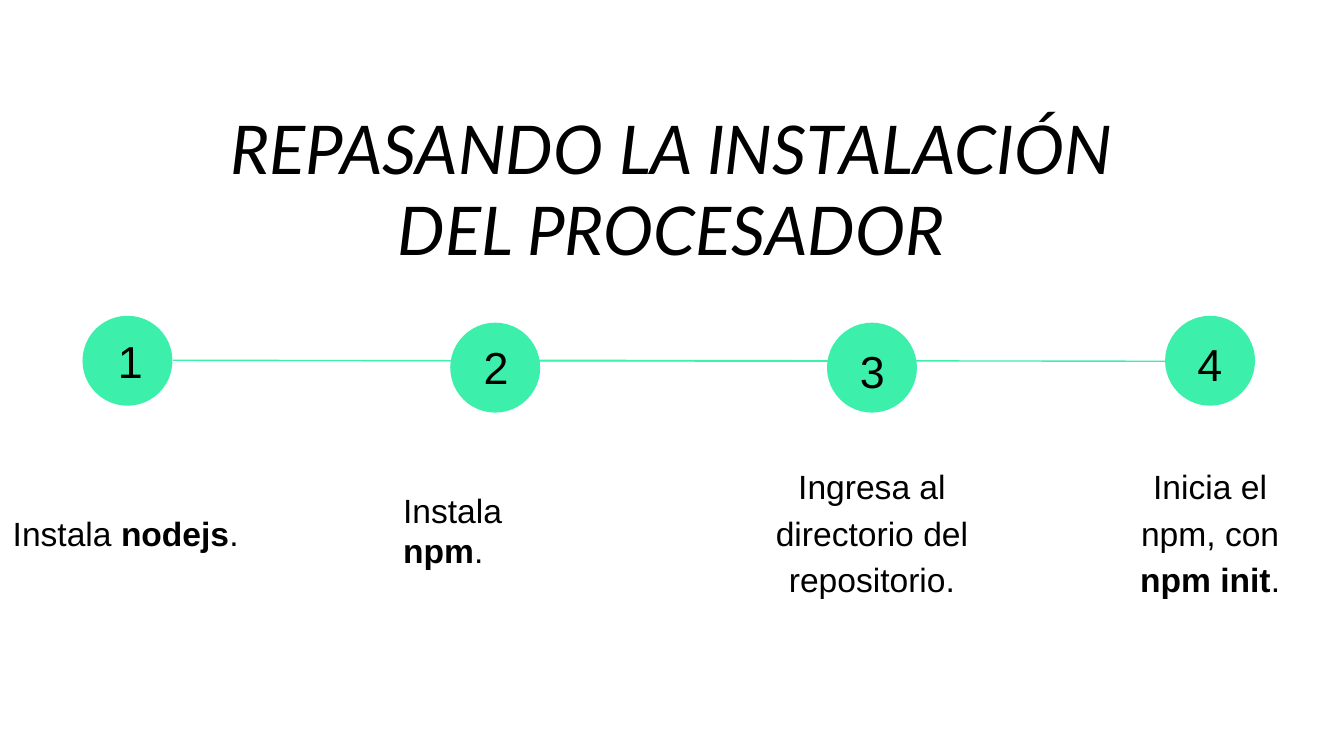
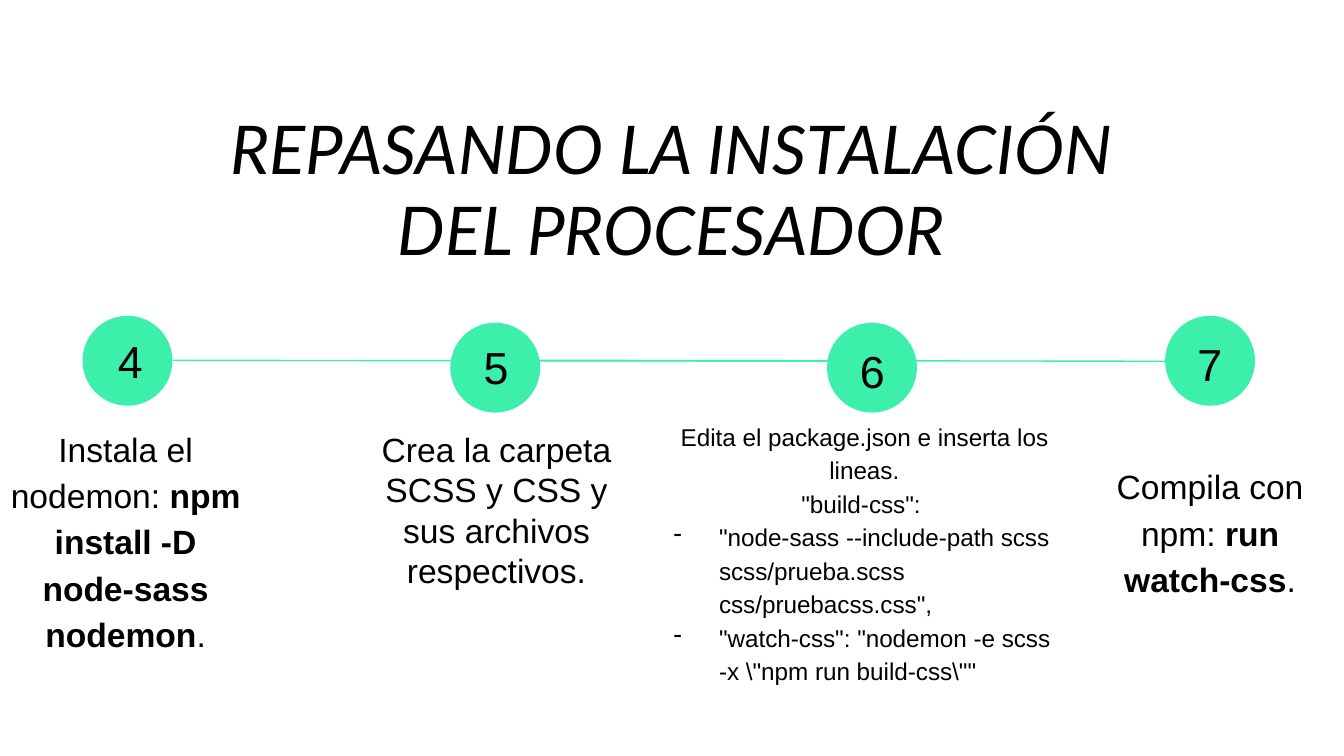
"""Builds the two timeline slides that review the processor installation."""
from lxml import etree
from pptx import Presentation
from pptx import util as u
from pptx.dml.color import RGBColor
from pptx.enum import shapes, text
from pptx.oxml.ns import qn

GREEN = RGBColor(0x3C, 0xEF, 0xAB)
BLACK = RGBColor(0, 0, 0)
LEFT, CENTER = text.PP_ALIGN.LEFT, text.PP_ALIGN.CENTER
TOP, MIDDLE = text.MSO_ANCHOR.TOP, text.MSO_ANCHOR.MIDDLE
TITLE = "REPASANDO LA INSTALACIÓN DEL PROCESADOR"

LINES = [(3.27, 16.57), (9.83, 23.14)]
CIRCLES = [(1.56, 5.97), (8.51, 6.1), (15.63, 6.1), (22.02, 5.97)]
NUMBERS = [(1.98, 6.05, LEFT), (8.89, 6.17, LEFT), (16, 6.25, CENTER), (22.38, 6.12, CENTER)]

SLIDES = [
    [
        ("1", (-0.15, 8.53, 5.05), 18, CENTER, 1.15, ["Instala **nodejs**."]),
        ("2", (7.37, 8.53, 3.99), 18, LEFT, 1, ["Instala **npm**."]),
        ("3", (13.61, 8.53, 5.74), 18, CENTER, 1.15, ["Ingresa al directorio del repositorio."]),
        ("4", (20.75, 8.53, 4.24), 18, CENTER, 1.15, ["Inicia el npm, con **npm init**."]),
    ],
    [
        ("4", (-0.15, 8.69, 5.05), 18, CENTER, 1.15,
         ["Instala el nodemon: **npm install -D node-sass nodemon**."]),
        ("5", (6.86, 8.15, 5.05), 18, CENTER, 1,
         ["Crea la carpeta SCSS y CSS y sus archivos respectivos."]),
        ("6", (12.07, 8.94, 8.53), 13, CENTER, 1.15,
         ["Edita el package.json e inserta los lineas.",
          '"build-css": ',
          '- "node-sass --include-path scss scss/prueba.scss css/pruebacss.css",',
          r'- "watch-css": "nodemon -e scss -x \"npm run build-css\""']),
        ("7", (20.75, 8.53, 4.24), 18, CENTER, 1.15, ["Compila con npm: **run watch-css**."]),
    ],
]


def write(sp, box, paras, size, align=CENTER, spacing=1, anchor=TOP, font="Arial", italic=False):
    for name, value in zip(("left", "top", "width", "height"), box):
        setattr(sp, name, u.Cm(value))
    tf = sp.text_frame
    frame = {"word_wrap": True, "auto_size": text.MSO_AUTO_SIZE.NONE, "vertical_anchor": anchor}
    frame.update({f"margin_{side}": u.Cm(0.25) for side in ("left", "top", "right", "bottom")})
    for name, value in frame.items():
        setattr(tf, name, value)
    for i, para in enumerate(paras):
        p = tf.paragraphs[0] if i == 0 else tf.add_paragraph()
        p.alignment, p.line_spacing = align, spacing
        if para.startswith("- "):
            para = para[2:]
            p.alignment = LEFT
            pPr = p._p.get_or_add_pPr()
            pPr.set("marL", str(u.Cm(1.27)))
            pPr.set("indent", str(u.Cm(-0.86)))
            etree.SubElement(pPr, qn("a:buChar")).set("char", "-")
        for j, part in enumerate(para.split("**")):
            r = p.add_run()
            r.text = part
            r.font.color.rgb = BLACK
            style = {"name": font, "size": u.Pt(size), "bold": j % 2 == 1, "italic": italic}
            for name, value in style.items():
                setattr(r.font, name, value)


prs = Presentation()
prs.slide_width, prs.slide_height = u.Cm(25.4), u.Cm(14.29)

for steps in SLIDES:
    s = prs.slides.add_slide(prs.slide_layouts[5])
    write(s.shapes.title, (3.63, 1.78, 18.11, 2.74), [TITLE], 36, font="Lato", italic=True)

    for x1, x2 in LINES:
        line = s.shapes.add_connector(
            shapes.MSO_CONNECTOR.STRAIGHT, u.Cm(x1), u.Cm(6.81), u.Cm(x2), u.Cm(6.83))
        line.line.color.rgb = GREEN
        line.line.width = u.Pt(0.75)
        etree.SubElement(line._element.spPr, qn("a:effectLst"))

    for (x, y), (nx, ny, side), step in zip(CIRCLES, NUMBERS, steps):
        number, (left, top, width), size, align, spacing, paras = step
        sp = s.shapes.add_shape(shapes.MSO_SHAPE.OVAL, u.Cm(x), u.Cm(y), u.Cm(1.7), u.Cm(1.7))
        sp.shadow.inherit = False
        sp.fill.solid()
        sp.fill.fore_color.rgb = GREEN
        sp.line.fill.background()
        write(s.shapes.add_textbox(0, 0, 0, 0), (nx, ny, 0.76, 0.86), [number], 24, side)
        write(s.shapes.add_textbox(0, 0, 0, 0), (left, top, width, 2.97), paras, size,
              align, spacing, MIDDLE)

prs.save("out.pptx")
